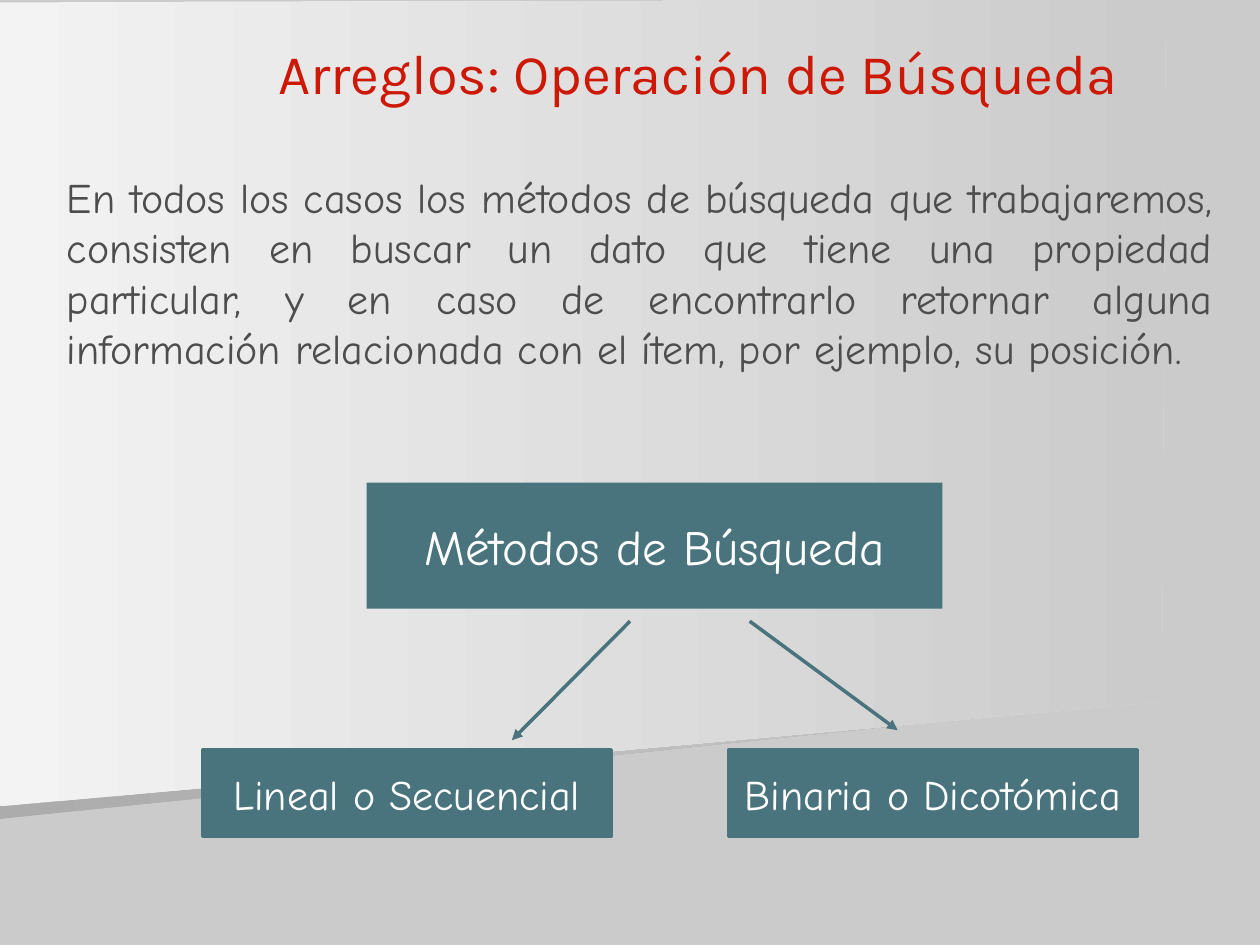
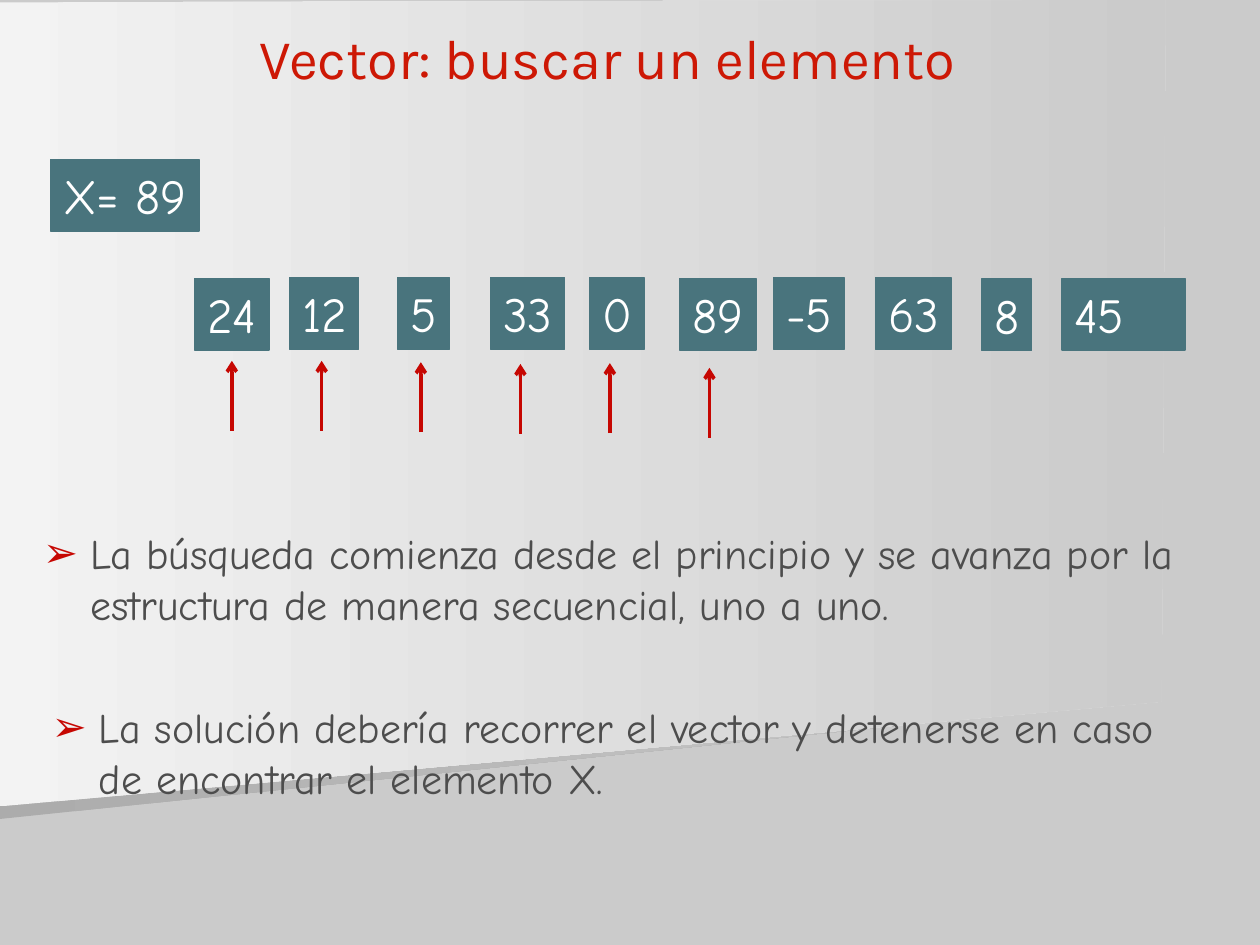
from lxml import etree
from pptx import Presentation
from pptx.dml.color import RGBColor
from pptx.enum.shapes import MSO_CONNECTOR as Connector, MSO_SHAPE as Preset
from pptx.enum.text import MSO_ANCHOR as Anchor, MSO_AUTO_SIZE as AutoSize, PP_ALIGN as Align
from pptx.oxml.ns import qn
from pptx.util import Pt

TITLE_RED = RGBColor(0xCD, 0x18, 0x05)
ARROW_RED = RGBColor(0xC6, 0x07, 0x02)
TEAL = RGBColor(0x49, 0x74, 0x7D)
TEXT_GRAY = RGBColor(0x4D, 0x4D, 0x4D)
WHITE = RGBColor(0xFF, 0xFF, 0xFF)
PAGE_GRAY = RGBColor(0xCB, 0xCB, 0xCB)
FOLD_GRAY = RGBColor(0xAC, 0xAC, 0xAC)
PAPER_GRAY = RGBColor(0xF3, 0xF3, 0xF3)
TITLE_FONT, BODY_FONT = "Karla", "Comic Neue"

# Background panels, back to front: left colour and outline
PANELS = [
    (FOLD_GRAY, [(644.4, 401), (0, 468), (0, 336.2), (644.4, 180)]),
    (PAPER_GRAY, [(663.8, 401), (0, 460.8), (0, 1.4), (666, 0)]),
]

# Search methods slide: boxes are left, top, width, height
METHODS_TITLE = "Arreglos: Operación de Búsqueda"
METHODS_TEXT = (
    "En todos los casos los métodos de búsqueda que trabajaremos, consisten en buscar "
    "un dato que tiene una propiedad particular, y en caso de encontrarlo retornar alguna "
    "información relacionada con el ítem, por ejemplo, su posición."
)
ROOT_METHOD = ("Métodos de Búsqueda", (209.5, 275.8, 329, 72))
METHODS = [  # name, left, arrow start, arrow end
    ("Lineal o Secuencial", 115.6, (360, 355), (292.5, 423)),
    ("Binaria o Dicotómica", 416.2, (428.4, 355), (513, 417.3)),
]
METHOD_TOP, METHOD_WIDTH, METHOD_HEIGHT = 428.4, 233.6, 49.7

# Vector slide
VECTOR_TITLE = "Vector: buscar un elemento"
TARGET = ("X= 89", 29, 91.1, 84.7)
CELLS = [  # value, left, top, width
    ("24", 111.3, 159, 42.5), ("12", 165.6, 158.6, 39.5), ("5", 227.3, 158.6, 29.5),
    ("33", 280.4, 158.6, 42.2), ("0", 337, 158.6, 31), ("89", 388.5, 159, 43.5),
    ("-5", 442.2, 158.6, 40.2), ("63", 500.4, 158.6, 43), ("8", 561, 159.5, 28.5),
    ("45", 606.8, 159, 70.4),
]
CELL_HEIGHT = 41
STEPS = [  # x and tip of each step arrow
    (132.5, 206.2), (183.8, 206.2), (240.5, 207), (297.4, 208), (348.5, 207.5), (405.4, 210.2),
]
STEP_LENGTH = 40
VECTOR_POINTS = [
    ("La búsqueda comienza desde el principio y se avanza por la estructura de manera "
     "secuencial, uno a uno.", (17.3, 298.1, 677.5, 65)),
    ("La solución debería recorrer el vector y detenerse en caso de encontrar el elemento X.",
     (22.3, 397.4, 674.6, 65)),
]


def write(shape, text, size=24, font=BODY_FONT, color=WHITE, align=Align.LEFT,
          anchor=Anchor.TOP, wrap=True, space_before=0, bullet=None):
    frame = shape.text_frame
    frame.text = text
    frame.auto_size = AutoSize.NONE
    frame.word_wrap = wrap
    frame.vertical_anchor = anchor
    paragraph = frame.paragraphs[0]
    properties = paragraph._p.get_or_add_pPr()
    indent = Pt(27) if bullet else 0
    properties.set("marL", str(indent))
    properties.set("indent", str(-indent))
    if bullet:
        bullet_color = etree.SubElement(properties, qn("a:buClr"))
        etree.SubElement(bullet_color, qn("a:srgbClr"), val=str(ARROW_RED))
        etree.SubElement(properties, qn("a:buChar"), char=bullet)
    else:
        etree.SubElement(properties, qn("a:buNone"))
    paragraph.alignment = align
    paragraph.space_before = Pt(space_before)
    paragraph.font.size = Pt(size)
    paragraph.font.name = font
    paragraph.font.color.rgb = color


def place(shape, box):
    shape.left, shape.top, shape.width, shape.height = map(Pt, box)


def add_slide(presentation, layout, title, title_box):
    slide = presentation.slides.add_slide(presentation.slide_layouts[layout])
    place(slide.shapes.title, title_box)
    write(slide.shapes.title, title, size=32, font=TITLE_FONT, color=TITLE_RED,
          align=Align.CENTER, anchor=Anchor.BOTTOM)
    return slide


def add_box(slide, text, box, line_width=0, **text_format):
    shape = slide.shapes.add_shape(Preset.RECTANGLE, *map(Pt, box))
    shape.shadow.inherit = False
    shape.fill.solid()
    shape.fill.fore_color.rgb = TEAL
    if line_width:
        shape.line.color.rgb = TEAL
        shape.line.width = Pt(line_width)
    else:
        shape.line.fill.background()
    write(shape, text, **text_format)


def add_arrow(slide, start, end, color, head):
    arrow = slide.shapes.add_connector(Connector.STRAIGHT, *map(Pt, start + end))
    arrow.line.color.rgb = color
    arrow.line.width = Pt(2)
    etree.SubElement(arrow.line._get_or_add_ln(), qn("a:tailEnd"), type=head)
    etree.SubElement(arrow.element.spPr, qn("a:effectLst"))


def move_panels_to_master(presentation, slide):
    """Draw the panels on a slide, then move them behind the master's placeholders."""
    master = presentation.slide_master
    master.background.fill.solid()
    master.background.fill.fore_color.rgb = PAGE_GRAY
    for index, (left_color, points) in enumerate(PANELS):
        start, *others = [(Pt(x), Pt(y)) for x, y in points]
        builder = slide.shapes.build_freeform(*start)
        builder.add_line_segments(others, close=True)
        panel = builder.convert_to_shape()
        panel.shadow.inherit = False
        panel.line.fill.background()
        panel.fill.gradient()
        panel.fill.gradient_angle = 0
        for stop, color, position in zip(panel.fill.gradient_stops, (left_color, PAGE_GRAY), (0, 1)):
            stop.color.rgb = color
            stop.position = position
        panel.element.nvSpPr.cNvPr.set("id", str(100 + index))
        master.shapes.element.insert(2 + index, panel.element)


def build_methods(presentation):
    slide = add_slide(presentation, 1, METHODS_TITLE, (99.4, -2.2, 599.8, 66.2))
    move_panels_to_master(presentation, slide)
    body = slide.placeholders[1]
    place(body, (31, 94.3, 668.9, 152.6))
    write(body, METHODS_TEXT, color=TEXT_GRAY, align=Align.JUSTIFY, space_before=6)

    # Tree of methods
    centered = dict(align=Align.CENTER, anchor=Anchor.MIDDLE, wrap=False)
    add_box(slide, *ROOT_METHOD, size=28, **centered)
    for name, left, start, end in METHODS:
        add_box(slide, name, (left, METHOD_TOP, METHOD_WIDTH, METHOD_HEIGHT), line_width=2, **centered)
        add_arrow(slide, start, end, TEAL, "triangle")


def build_vector(presentation):
    slide = add_slide(presentation, 3, VECTOR_TITLE, (116.6, 9.4, 461.5, 46))

    # Searched value and vector cells; only the wide last cell wraps
    for cell in [TARGET] + CELLS:
        text, left, top, width = cell
        add_box(slide, text, (left, top, width, CELL_HEIGHT), line_width=0.75, size=28,
                wrap=cell is CELLS[-1])
    for x, tip in STEPS:
        add_arrow(slide, (x, tip + STEP_LENGTH), (x, tip), ARROW_RED, "arrow")

    # Explanation
    for index, (text, box) in enumerate(VECTOR_POINTS, start=1):
        body = slide.placeholders[index]
        place(body, box)
        write(body, text, color=TEXT_GRAY, bullet="➢")


def main():
    presentation = Presentation()
    presentation.slide_width, presentation.slide_height = Pt(720), Pt(540)
    build_methods(presentation)
    build_vector(presentation)
    presentation.save("out.pptx")


if __name__ == "__main__":
    main()
